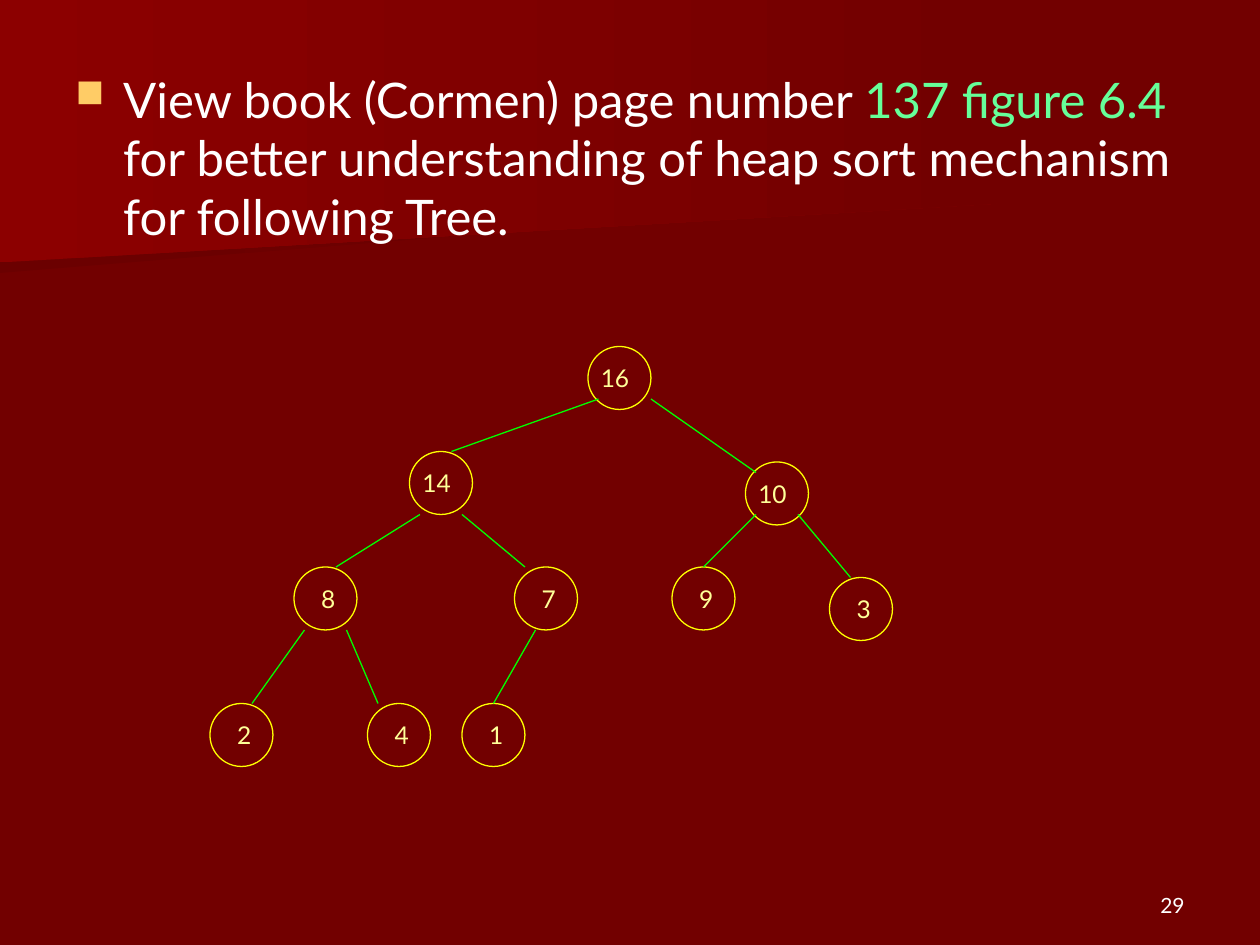
from dataclasses import dataclass

from lxml.etree import SubElement
from pptx import Presentation
from pptx.dml.color import RGBColor
from pptx.enum.shapes import MSO_CONNECTOR as Line, MSO_SHAPE as Shape
from pptx.enum.text import MSO_ANCHOR as Anchor, PP_ALIGN as Align
from pptx.oxml.ns import qn
from pptx.util import Inches, Pt

FONT = "Lato"
COLORS = {
    "page": "720000", "shade": "6B0000", "glow": "8C0000",
    "text": "FFFFFF", "accent": "66FF99", "bullet": "FFCC66",
    "ring": "FFFF00", "key": "FFFF99", "edge": "00FF00",
}
# The page is 120 columns by 90 rows, each a twelfth of an inch
COLUMNS, ROWS = 120, 90
NODE_SIZE = 6


@dataclass(frozen=True)
class Node:
    key: str
    column: int
    row: int


@dataclass(frozen=True)
class Edge:
    child: str
    start: tuple[int, int]
    end: tuple[int, int]


@dataclass(frozen=True)
class Band:
    color: str
    corners: tuple[tuple[float, float], ...]


BANDS = [
    Band("shade", ((93.4, 18.4), (0, 26), (0, 12.1), (93.5, 12.1), (93.4, 15.4))),
    Band("glow", ((95, 19.4), (0, 25), (0, 0), (95, 0))),
]
NODES = [
    Node("16", 56, 33),
    Node("14", 39, 43), Node("10", 71, 44),
    Node("8", 28, 54), Node("7", 49, 54), Node("9", 64, 54), Node("3", 79, 55),
    Node("2", 20, 67), Node("4", 35, 67), Node("1", 44, 67),
]
EDGES = [
    Edge("14", (57, 38), (43, 43)), Edge("10", (62, 38), (72, 45)),
    Edge("8", (40, 49), (32, 54)), Edge("7", (44, 49), (50, 54)),
    Edge("9", (72, 49), (67, 54)), Edge("3", (76, 49), (81, 55)),
    Edge("2", (29, 60), (24, 67)), Edge("4", (33, 60), (36, 67)),
    Edge("1", (51, 60), (47, 67)),
]


def grid(*units: float) -> list[int]:
    return [Inches(unit / 12) for unit in units]


def color(name: str) -> RGBColor:
    return RGBColor.from_string(COLORS[name])


def add_span(para, text: str, size: float, name: str) -> None:
    span = para.add_run()
    span.text = text
    span.font.name = FONT
    span.font.size = Pt(size)
    span.font.color.rgb = color(name)


def hang(para, indent: float) -> None:
    props = para._p.get_or_add_pPr()
    props.set("marL", str(Inches(indent)))
    props.set("indent", str(-Inches(indent)))


def add_bullet(para) -> None:
    props = para._p.get_or_add_pPr()
    fill = SubElement(props, qn("a:buClr"))
    SubElement(fill, qn("a:srgbClr"), val=COLORS["bullet"])
    SubElement(props, qn("a:buSzPct"), val="80000")
    SubElement(props, qn("a:buChar"), char="■")


def add_text_box(page, *place: float):
    box = page.shapes.add_textbox(*grid(*place))
    box.text_frame.word_wrap = True
    return box.text_frame


def draw_band(page, band: Band) -> None:
    first, *others = [grid(*corner) for corner in band.corners]
    builder = page.shapes.build_freeform(*first)
    builder.add_line_segments(others, close=True)
    shape = builder.convert_to_shape()
    shape.shadow.inherit = False
    shape.line.fill.background()
    shape.fill.gradient()
    shape.fill.gradient_angle = 0
    for stop, name in zip(shape.fill.gradient_stops, (band.color, "page")):
        stop.color.rgb = color(name)


def draw_node(page, node: Node):
    place = grid(node.column, node.row, NODE_SIZE, NODE_SIZE)
    circle = page.shapes.add_shape(Shape.OVAL, *place)
    circle.shadow.inherit = False
    circle.fill.background()
    circle.line.color.rgb = color("ring")
    circle.line.width = Pt(0.75)
    frame = circle.text_frame
    frame.word_wrap = False
    frame.vertical_anchor = Anchor.MIDDLE
    para = frame.paragraphs[0]
    para.alignment = Align.RIGHT
    para.space_before = Pt(3.5)
    hang(para, 0.31)
    add_span(para, node.key, 14, "key")
    return circle


def draw_edge(page, edge: Edge, child: Node, circle) -> None:
    line = page.shapes.add_connector(Line.STRAIGHT, *grid(*edge.start, *edge.end))
    line.line.color.rgb = color("edge")
    line.line.width = Pt(0.75)
    SubElement(line._element.spPr, qn("a:effectLst"))
    if edge.end == (child.column + NODE_SIZE // 2, child.row):
        line.end_connect(circle, 0)


def main() -> None:
    deck = Presentation()
    deck.slide_width, deck.slide_height = grid(COLUMNS, ROWS)
    page = deck.slides.add_slide(deck.slide_layouts[6])

    # Background
    page.background.fill.solid()
    page.background.fill.fore_color.rgb = color("page")
    for band in BANDS:
        draw_band(page, band)

    # Page number
    frame = add_text_box(page, 86, 82, 28, 6)
    frame.vertical_anchor = Anchor.BOTTOM
    para = frame.paragraphs[0]
    para.alignment = Align.RIGHT
    add_span(para, "29", 12, "text")

    # Reading hint
    para = add_text_box(page, 6, 6, 108, 23).paragraphs[0]
    para.space_before = Pt(7)
    hang(para, 0.38)
    add_bullet(para)
    add_span(para, "View book (Cormen) page number ", 28, "text")
    add_span(para, "137 figure 6.4", 28, "accent")
    add_span(para, " for better understanding of heap sort mechanism"
                   " for following Tree.", 28, "text")

    # Heap tree
    nodes = {node.key: node for node in NODES}
    circles = {key: draw_node(page, node) for key, node in nodes.items()}
    for edge in EDGES:
        draw_edge(page, edge, nodes[edge.child], circles[edge.child])

    deck.save("out.pptx")


if __name__ == "__main__":
    main()
